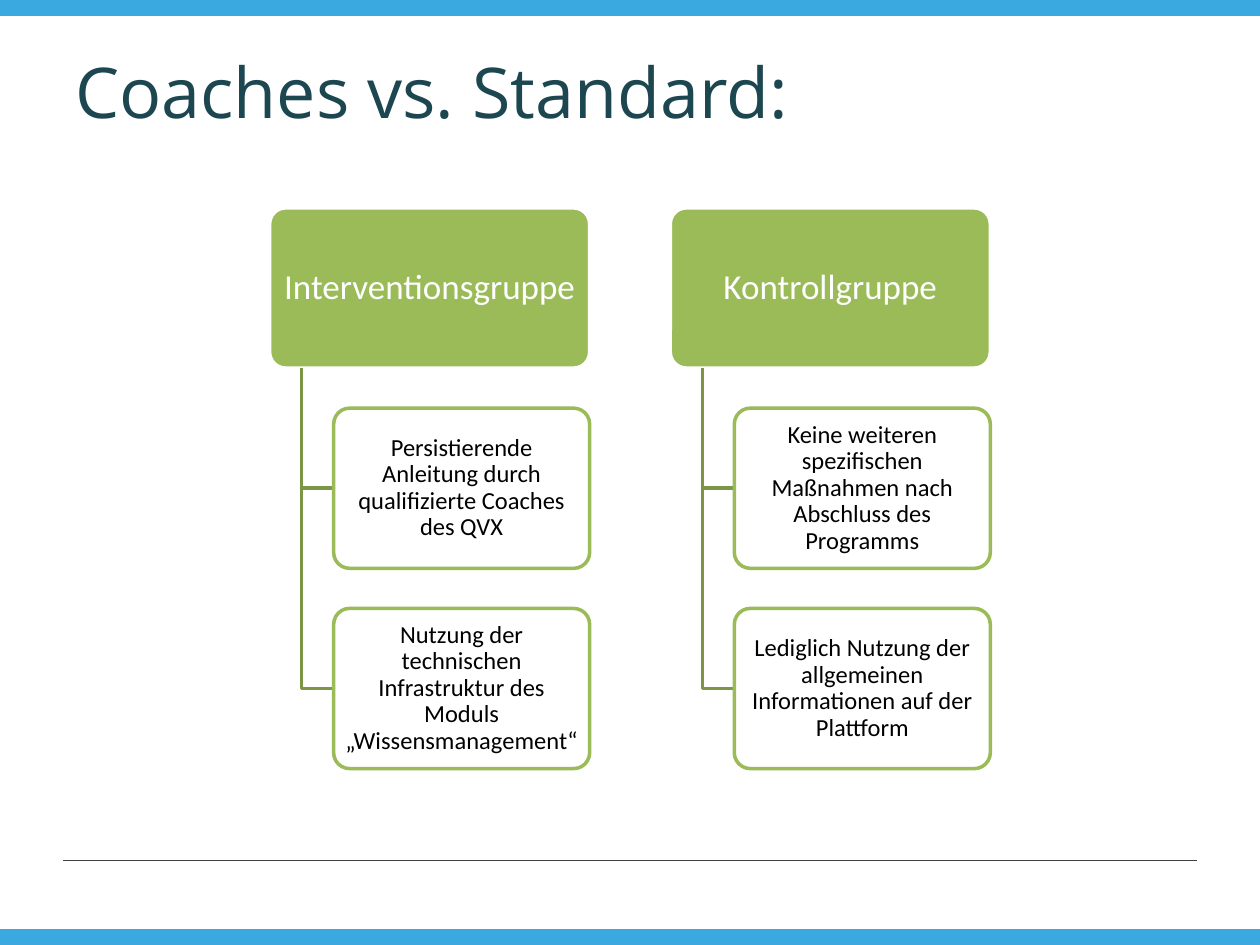
import pptx
import pptx.util
import pptx.dml.color
import pptx.enum.shapes
import pptx.enum.text
import pptx.oxml
import pptx.oxml.ns
import lxml.etree

Inches = pptx.util.Inches
SHAPES = pptx.enum.shapes.MSO_SHAPE
ALIGN = pptx.enum.text.PP_ALIGN

BLUE, GREEN, DARK_GREEN, WHITE = "3AA9E0", "9BBB59", "7C9647", "FFFFFF"
GROUPS = [
    ("Interventionsgruppe", [
        "Persistierende Anleitung durch qualifizierte Coaches des QVX",
        "Nutzung der technischen Infrastruktur des Moduls „Wissensmanagement“",
    ]),
    ("Kontrollgruppe", [
        "Keine weiteren spezifischen Maßnahmen nach Abschluss des Programms",
        "Lediglich Nutzung der allgemeinen Informationen auf der Plattform",
    ]),
]


def color(value):
    return pptx.dml.color.RGBColor.from_string(value)


def set_line(shape, value, width):
    shape.line.color.rgb = color(value)
    shape.line.width = pptx.util.Pt(width)


def add_box(page, kind, box, fill, line, width):
    shape = page.shapes.add_shape(kind, *map(Inches, box))
    shape.shadow.inherit = False
    shape.fill.solid()
    shape.fill.fore_color.rgb = color(fill)
    set_line(shape, line, width)
    return shape


def write_text(shape, text, font, size, value, margins, **paragraph_format):
    frame = shape.text_frame
    left, top = map(Inches, margins)
    frame_format = {
        "word_wrap": True,
        "vertical_anchor": pptx.enum.text.MSO_ANCHOR.MIDDLE,
        "margin_left": left, "margin_right": left,
        "margin_top": top, "margin_bottom": top,
    }
    para = frame.paragraphs[0]
    span = para.add_run()
    span.text = text
    span_format = {"name": font, "size": pptx.util.Pt(size)}
    for target, values in ((frame, frame_format), (para, paragraph_format),
                           (span.font, span_format)):
        for name, setting in values.items():
            setattr(target, name, setting)
    span.font.color.rgb = color(value)


def add_card(page, box, text, size, fill, line, value, margins):
    card = add_box(page, SHAPES.ROUNDED_RECTANGLE, box, fill, line, 2)
    card.adjustments[0] = 0.1
    write_text(card, text, "Calibri", size, value, margins,
               alignment=ALIGN.CENTER, line_spacing=0.9)
    return card


def add_elbow(page, left, top, right, bottom):
    builder = page.shapes.build_freeform(Inches(left), Inches(top))
    builder.add_line_segments(
        [(Inches(left), Inches(bottom)), (Inches(right), Inches(bottom))],
        close=False)
    elbow = builder.convert_to_shape()
    elbow.shadow.inherit = False
    elbow.fill.background()
    set_line(elbow, DARK_GREEN, 2)


def add_frame(page, width, height):
    # Bands at the top and bottom edges
    band = 0.12
    for top in (0, height - band):
        add_box(page, SHAPES.RECTANGLE, (0, top, width, band), BLUE, BLUE, 0.75)
    # Footer rule
    rule = page.shapes.add_connector(
        pptx.enum.shapes.MSO_CONNECTOR.STRAIGHT,
        Inches(0.5), Inches(6.83), Inches(width - 0.5), Inches(6.83))
    set_line(rule, "404040", 0.25)
    lxml.etree.SubElement(rule._element.spPr, pptx.oxml.ns.qn("a:effectLst"))


def add_title(page, box, text):
    title = page.shapes.add_textbox(*map(Inches, box))
    write_text(title, text, "Open Sans", 40, "1D4750", (0.1, 0.05))


def add_group(page, box, heading, details):
    left, top, width, height = box
    card_height = height / 3.5  # three cards, gaps of a quarter card
    step = card_height * 1.25
    indent = width / 5
    # Heading card
    add_card(page, (left, top, width, card_height), heading, 20,
             GREEN, WHITE, WHITE, (0.04, 0.03))
    # Detail cards, each joined to the heading
    for row, detail in enumerate(details, start=1):
        card_top = top + row * step
        add_elbow(page, left + indent / 2, top + card_height,
                  left + indent, card_top + card_height / 2)
        card = add_card(page, (left + indent, card_top, width - indent, card_height),
                        detail, 14, WHITE, GREEN, "000000", (0.03, 0.02))
        fill_color = card._element.spPr.find(".//" + pptx.oxml.ns.qn("a:srgbClr"))
        lxml.etree.SubElement(fill_color, pptx.oxml.ns.qn("a:alpha"), val="90000")


def main():
    deck = pptx.Presentation()
    deck.slide_width, deck.slide_height = Inches(10), Inches(7.5)
    page = deck.slides.add_slide(deck.slide_layouts[6])
    add_frame(page, 10, 7.5)
    add_title(page, (0.5, 0.3, 9, 0.83), "Coaches vs. Standard:")
    for column, (heading, details) in enumerate(GROUPS):
        add_group(page, (2.14 + column * 3.18, 1.65, 2.54, 4.45), heading, details)
    deck.save("out.pptx")


if __name__ == "__main__":
    main()
